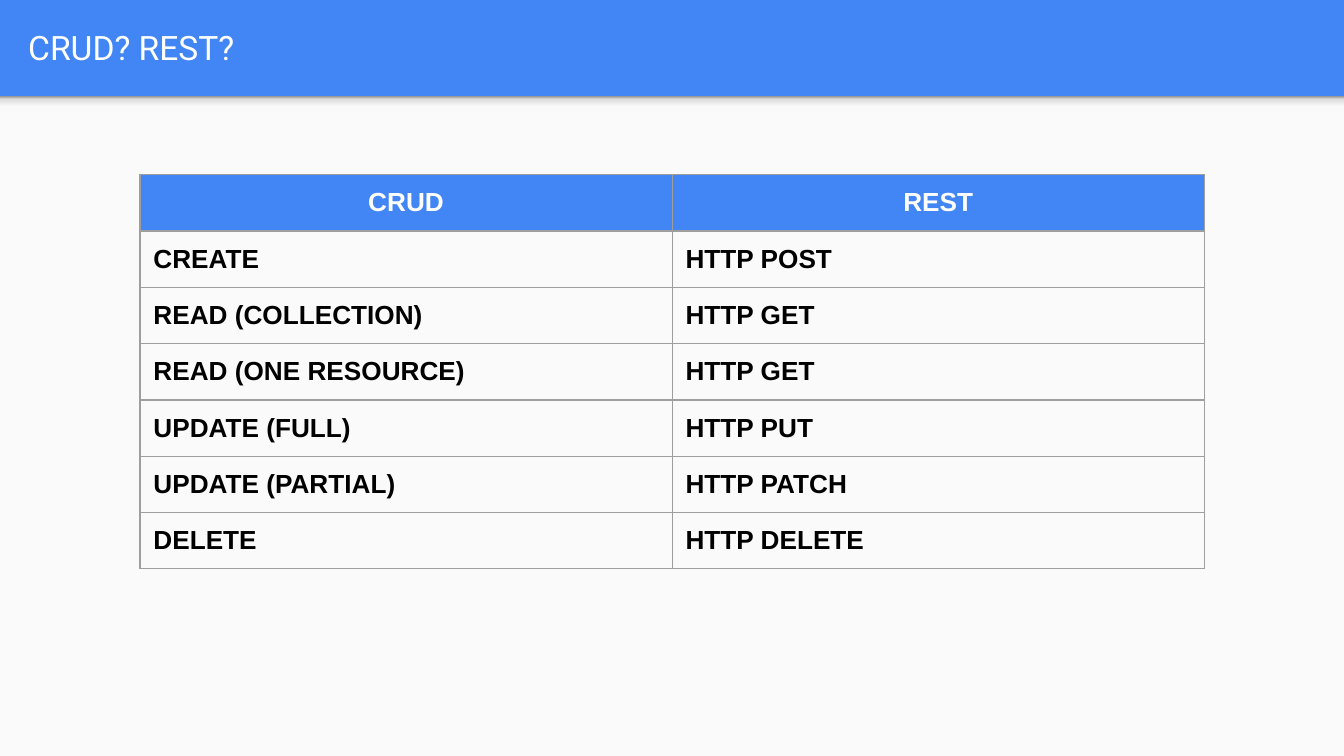
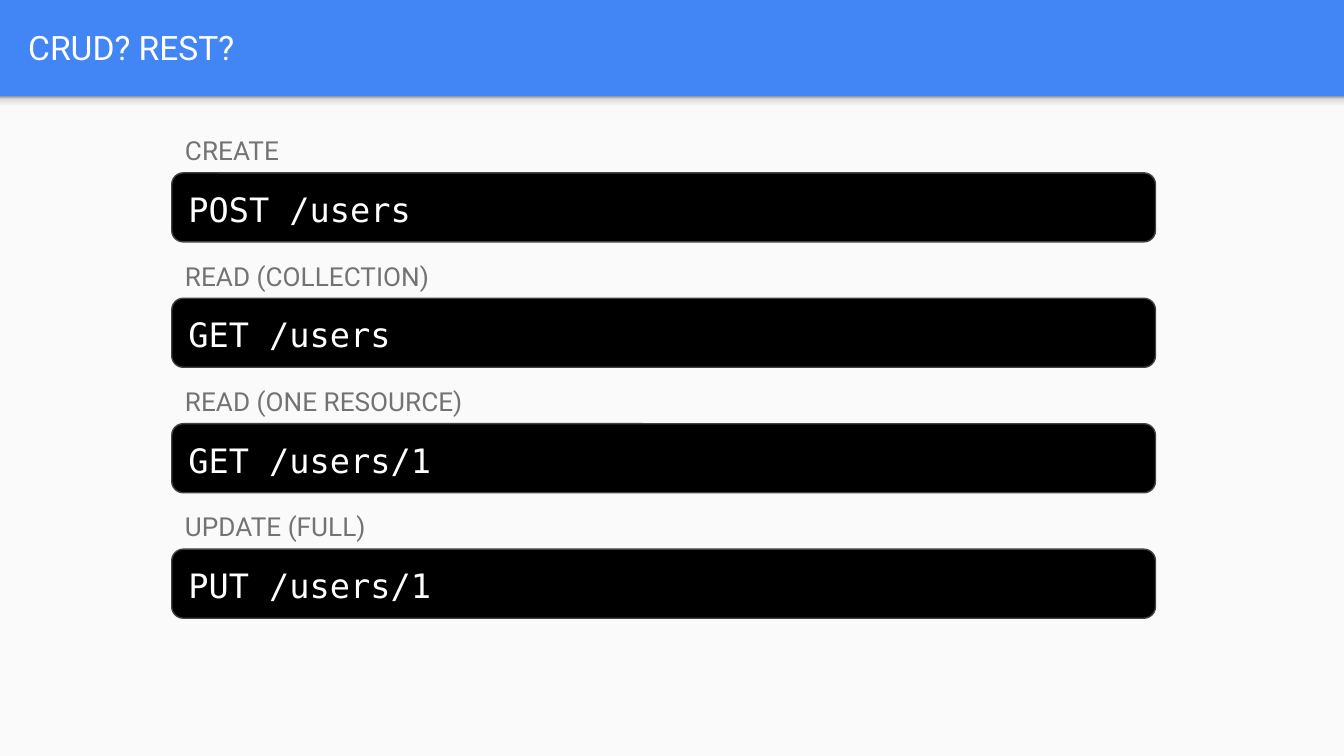
from dataclasses import dataclass
from typing import Any, NamedTuple

from lxml import etree
from pptx import Presentation
from pptx.dml.color import RGBColor
from pptx.enum.shapes import MSO_SHAPE
from pptx.enum.text import MSO_ANCHOR, MSO_AUTO_SIZE, PP_ALIGN
from pptx.oxml.ns import qn
from pptx.util import Pt

RECTANGLE = MSO_SHAPE.RECTANGLE
ROUNDED = MSO_SHAPE.ROUNDED_RECTANGLE
TOP, MIDDLE = MSO_ANCHOR.TOP, MSO_ANCHOR.MIDDLE
LEFT, CENTER = PP_ALIGN.LEFT, PP_ALIGN.CENTER
NO_FIT = MSO_AUTO_SIZE.NONE
TITLE_ONLY = 5


@dataclass(frozen=True)
class Theme:
    blue: str = "4285F4"
    paper: str = "FAFAFA"
    white: str = "FFFFFF"
    black: str = "000000"
    label_grey: str = "737373"
    code_border: str = "424242"
    table_border: str = "9E9E9E"
    shadow_stops: tuple = ((0, "F9F9F9"), (36, "F9F9F9"), (80, "DEDEDE"), (100, "999999"))
    sans: str = "Roboto"
    table_font: str = "Arial"
    mono: str = "DejaVu Sans Mono"
    large: float = 18
    medium: float = 14
    hairline: float = 0.75
    inset: float = 7.2


THEME = Theme()


class Area(NamedTuple):
    """A rectangle in points."""
    left: float
    top: float
    width: float
    height: float

    def lengths(self) -> list:
        return [Pt(value) for value in self]


class TextStyle(NamedTuple):
    font: str
    size: float
    color: str
    bold: bool = False
    align: Any = LEFT
    line_spacing: float = 1.0
    space_after: float = 0


class Request(NamedTuple):
    action: str
    code: str


WIDTH, HEIGHT = 720, 405
BAND_HEIGHT = 51.6
PAPER = Area(0, BAND_HEIGHT, WIDTH, HEIGHT - BAND_HEIGHT)
BAND_SHADOW = Area(0, BAND_HEIGHT, WIDTH, 8.6)
TITLE = Area(7.9, 1.7, 695, 47.5)
TABLE = Area(75, 93.6, 570.2, 210.7)
FIRST_LABEL = Area(92, 62.4, 527, 30.2)
CODE_HEIGHT = 37
CODE_INSET_TOP = 3.6
CODE_ROUNDING = 0.167

TITLE_STYLE = TextStyle(THEME.sans, THEME.large, THEME.white)
HEADER_STYLE = TextStyle(THEME.table_font, THEME.medium, THEME.white, True, CENTER)
CELL_STYLE = TextStyle(THEME.table_font, THEME.medium, THEME.black, True)
LABEL_STYLE = TextStyle(THEME.sans, THEME.medium, THEME.label_grey,
                        line_spacing=1.15, space_after=16)
CODE_STYLE = TextStyle(THEME.mono, THEME.large, THEME.white,
                       line_spacing=1.15, space_after=16)

HEADING = "CRUD? REST?"
OPERATIONS = [
    ("CRUD", "REST"),
    ("CREATE", "HTTP POST"),
    ("READ (COLLECTION)", "HTTP GET"),
    ("READ (ONE RESOURCE)", "HTTP GET"),
    ("UPDATE (FULL)", "HTTP PUT"),
    ("UPDATE (PARTIAL)", "HTTP PATCH"),
    ("DELETE", "HTTP DELETE"),
]
REQUESTS = [
    Request("CREATE", "POST /users"),
    Request("READ (COLLECTION)", "GET /users"),
    Request("READ (ONE RESOURCE)", "GET /users/1"),
    Request("UPDATE (FULL)", "PUT /users/1"),
]


def set_attributes(target: Any, values: dict) -> None:
    for name, value in values.items():
        setattr(target, name, value)


def paint(fill: Any, color: str) -> None:
    fill.solid()
    fill.fore_color.rgb = RGBColor.from_string(color)


def write(frame: Any, text: str, style: TextStyle) -> None:
    para = frame.paragraphs[0]
    set_attributes(para, {
        "alignment": style.align,
        "line_spacing": style.line_spacing,
        "space_before": Pt(0),
        "space_after": Pt(style.space_after),
    })
    span = para.add_run()
    span.text = text
    set_attributes(span.font, {
        "name": style.font, "size": Pt(style.size), "bold": style.bold,
    })
    span.font.color.rgb = RGBColor.from_string(style.color)


def set_frame(frame: Any, anchor: Any = TOP, inset_top: float = THEME.inset) -> None:
    set_attributes(frame, {
        "word_wrap": True,
        "auto_size": NO_FIT,
        "vertical_anchor": anchor,
        "margin_left": Pt(THEME.inset),
        "margin_right": Pt(THEME.inset),
        "margin_top": Pt(inset_top),
        "margin_bottom": Pt(THEME.inset),
    })


def add_block(page: Any, kind: Any, area: Area, color: str) -> Any:
    """Add a filled shape with neither outline nor shadow."""
    block = page.shapes.add_shape(kind, *area.lengths())
    block.shadow.inherit = False
    paint(block.fill, color)
    block.line.fill.background()
    return block


def fade_upward(shape: Any, stops: tuple) -> None:
    shape.fill.gradient()
    shape.fill.gradient_angle = 90
    stop_list = shape.element.spPr.find(qn("a:gradFill")).find(qn("a:gsLst"))
    for stop in list(stop_list):
        stop_list.remove(stop)
    for percent, color in stops:
        stop = etree.SubElement(stop_list, qn("a:gs"), pos=str(percent * 1000))
        etree.SubElement(stop, qn("a:srgbClr"), val=color)


def add_page(deck: Any, heading: str) -> Any:
    page = deck.slides.add_slide(deck.slide_layouts[TITLE_ONLY])
    add_block(page, RECTANGLE, PAPER, THEME.paper)
    shadow = add_block(page, RECTANGLE, BAND_SHADOW, THEME.paper)
    fade_upward(shadow, THEME.shadow_stops)
    title = page.shapes.title
    set_attributes(title, dict(zip(("left", "top", "width", "height"), TITLE.lengths())))
    set_frame(title.text_frame, MIDDLE)
    write(title.text_frame, heading, TITLE_STYLE)
    return page


def add_borders(cell: Any) -> None:
    properties = cell._tc.get_or_add_tcPr()
    for position, side in enumerate(("lnL", "lnR", "lnT", "lnB")):
        line = etree.Element(qn(f"a:{side}"), w=str(Pt(THEME.hairline)))
        fill = etree.SubElement(line, qn("a:solidFill"))
        etree.SubElement(fill, qn("a:srgbClr"), val=THEME.table_border)
        properties.insert(position, line)


def add_operations_table(page: Any, rows: list) -> None:
    columns = len(rows[0])
    table = page.shapes.add_table(len(rows), columns, *TABLE.lengths()).table
    set_attributes(table, {"first_row": False, "horz_banding": False})
    for column in table.columns:
        column.width = Pt(TABLE.width / columns)
    for row_index, texts in enumerate(rows):
        table.rows[row_index].height = Pt(TABLE.height / len(rows))
        for column_index, text in enumerate(texts):
            cell = table.cell(row_index, column_index)
            margins = ("margin_left", "margin_right", "margin_top", "margin_bottom")
            set_attributes(cell, dict.fromkeys(margins, Pt(THEME.inset)))
            is_header = row_index == 0
            if is_header:
                paint(cell.fill, THEME.blue)
            else:
                cell.fill.background()
            add_borders(cell)
            write(cell.text_frame, text, HEADER_STYLE if is_header else CELL_STYLE)


def add_request(page: Any, request: Request, label_area: Area) -> None:
    """Add the action's label with its code bar right below."""
    label = page.shapes.add_textbox(*label_area.lengths())
    set_frame(label.text_frame)
    write(label.text_frame, request.action, LABEL_STYLE)

    code_area = label_area._replace(top=label_area.top + label_area.height,
                                    height=CODE_HEIGHT)
    bar = add_block(page, ROUNDED, code_area, THEME.black)
    bar.adjustments[0] = CODE_ROUNDING
    paint(bar.line.fill, THEME.code_border)
    bar.line.width = Pt(THEME.hairline)
    set_frame(bar.text_frame, inset_top=CODE_INSET_TOP)
    write(bar.text_frame, request.code, CODE_STYLE)


def main() -> None:
    deck = Presentation()
    set_attributes(deck, {"slide_width": Pt(WIDTH), "slide_height": Pt(HEIGHT)})
    paint(deck.slide_master.background.fill, THEME.blue)

    add_operations_table(add_page(deck, HEADING), OPERATIONS)

    requests_page = add_page(deck, HEADING)
    pitch = FIRST_LABEL.height + CODE_HEIGHT
    for index, request in enumerate(REQUESTS):
        label_area = FIRST_LABEL._replace(top=FIRST_LABEL.top + index * pitch)
        add_request(requests_page, request, label_area)

    deck.save("out.pptx")


if __name__ == "__main__":
    main()
